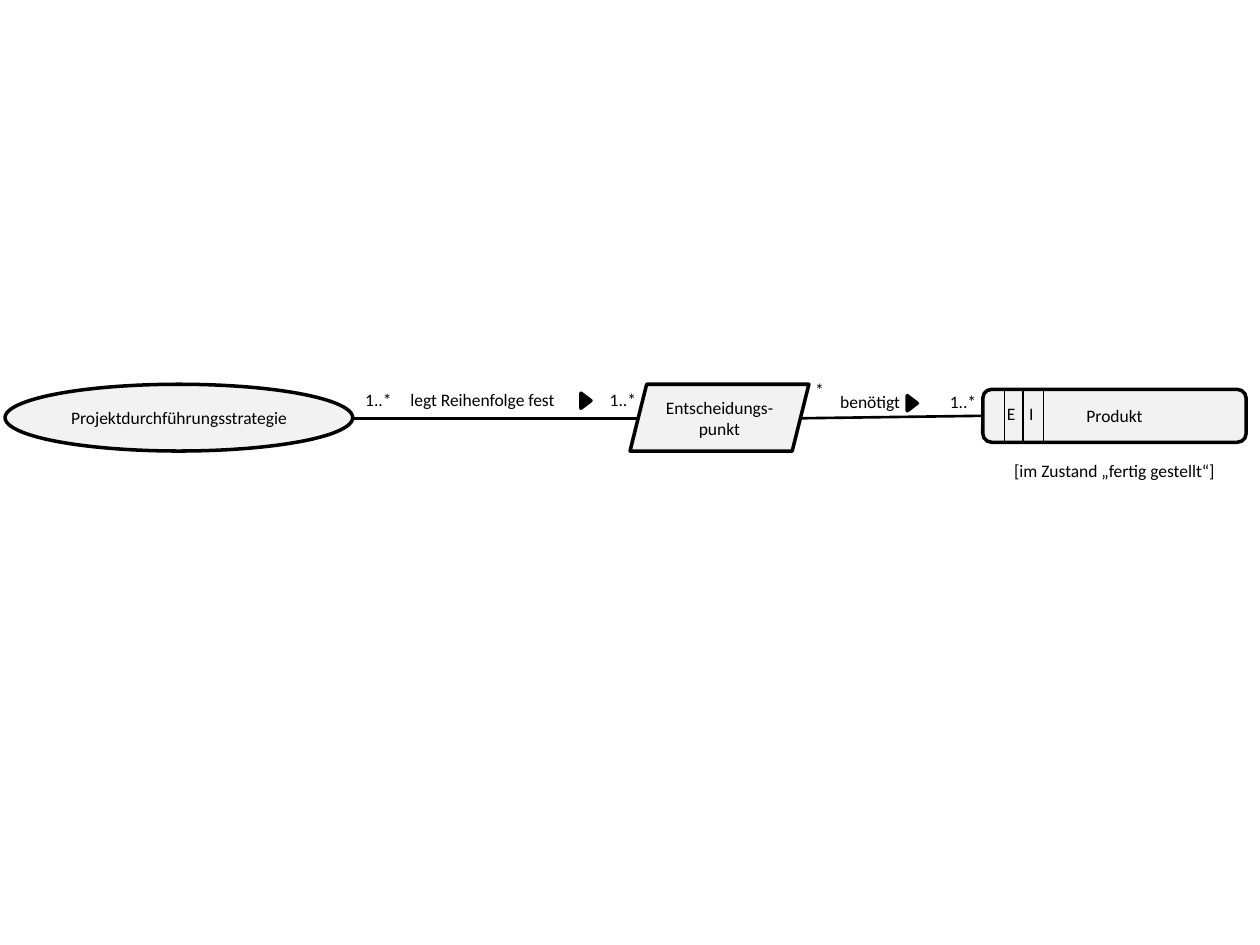
from dataclasses import dataclass

from lxml import etree
from pptx import Presentation
from pptx.dml.color import RGBColor
from pptx.enum.shapes import MSO_CONNECTOR, MSO_SHAPE
from pptx.enum.text import MSO_ANCHOR, PP_ALIGN
from pptx.oxml.ns import qn
from pptx.util import Inches, Pt

STRAIGHT = MSO_CONNECTOR.STRAIGHT
ELLIPSE = MSO_SHAPE.OVAL
PARALLELOGRAM = MSO_SHAPE.PARALLELOGRAM
ROUNDED = MSO_SHAPE.ROUNDED_RECTANGLE
TRIANGLE = MSO_SHAPE.ISOSCELES_TRIANGLE
LEFT, CENTER = PP_ALIGN.LEFT, PP_ALIGN.CENTER
TOP, MIDDLE = MSO_ANCHOR.TOP, MSO_ANCHOR.MIDDLE
LEFT_SIDE = 1


@dataclass(frozen=True)
class Theme:
    font: str = "Calibri"
    size: float = 10
    ink: RGBColor = RGBColor(0x00, 0x00, 0x00)
    node_fill: RGBColor = RGBColor(0xF2, 0xF2, 0xF2)
    outline: float = 2
    link: float = 1.5
    divider: float = 0.75


class DiagramPage:
    def __init__(self, page, theme):
        self.page = page
        self.theme = theme

    def set_text(self, shape, text, align, anchor, inset):
        frame = shape.text_frame
        frame.text = text
        frame.word_wrap = True
        frame.vertical_anchor = anchor
        frame.margin_left = Inches(inset)
        frame.margin_right = 0
        for para in frame.paragraphs:
            para.alignment = align
            for span in para.runs:
                span.font.name = self.theme.font
                span.font.size = Pt(self.theme.size)
                span.font.color.rgb = self.theme.ink

    def shape(self, kind, left, top, width, height, fill):
        box = self.page.shapes.add_shape(
            kind, Inches(left), Inches(top), Inches(width), Inches(height))
        box.shadow.inherit = False
        box.fill.solid()
        box.fill.fore_color.rgb = fill
        box.line.color.rgb = self.theme.ink
        box.line.width = Pt(self.theme.outline)
        return box

    def node(self, kind, text, left, top, width, height):
        box = self.shape(kind, left, top, width, height, self.theme.node_fill)
        self.set_text(box, text, CENTER, MIDDLE, 0)
        return box

    def direction(self, left, top):
        marker = self.shape(TRIANGLE, left, top, 0.12, 0.08, self.theme.ink)
        marker.rotation = 90

    def label(self, text, left, top, width, align=LEFT, inset=0.1):
        box = self.page.shapes.add_textbox(
            Inches(left), Inches(top), Inches(width), Inches(0.31))
        self.set_text(box, text, align, TOP, inset)

    def line(self, start, end, weight):
        connector = self.page.shapes.add_connector(
            STRAIGHT, *(Inches(value) for value in (*start, *end)))
        connector.line.color.rgb = self.theme.ink
        connector.line.width = Pt(weight)
        properties = connector._element.spPr
        etree.SubElement(properties, qn("a:effectLst"))
        return connector


def main():
    deck = Presentation()
    deck.slide_width, deck.slide_height = Inches(10), Inches(7.5)
    theme = Theme()
    diagram = DiagramPage(deck.slides.add_slide(deck.slide_layouts[6]), theme)

    diagram.line((2.8, 3.32), (5.07, 3.32), theme.link)
    needs = diagram.line((6.35, 3.32), (7.8, 3.3), theme.link)

    diagram.node(ELLIPSE, "Projektdurchführungsstrategie", 0.04, 3.05, 2.76, 0.53)
    diagram.node(PARALLELOGRAM, "Entscheidungs-\npunkt", 5, 3.05, 1.42, 0.53)
    product = diagram.node(ROUNDED, "Produkt", 7.8, 3.09, 2.09, 0.42)
    needs.end_connect(product, LEFT_SIDE)

    for x in (7.97, 8.12, 8.28):
        diagram.line((x, 3.09), (x, 3.51), theme.divider)
    for letter, left in (("E", 7.94), ("I", 8.1)):
        diagram.label(letter, left, 3.15, 0.17, CENTER, 0)

    for text, left, top, width in (
        ("1..*", 2.8, 3.04, 0.42),
        ("legt Reihenfolge fest", 3.16, 3.04, 1.4),
        ("1..*", 4.74, 3.04, 0.42),
        ("*", 6.37, 2.96, 0.21),
        ("benötigt", 6.57, 3.05, 0.81),
        ("1..*", 7.44, 3.05, 0.42),
        ("[im Zustand „fertig gestellt“]", 7.95, 3.6, 2.05),
    ):
        diagram.label(text, left, top, width)

    diagram.direction(4.59, 3.14)
    diagram.direction(7.18, 3.16)

    deck.save("out.pptx")


if __name__ == "__main__":
    main()
